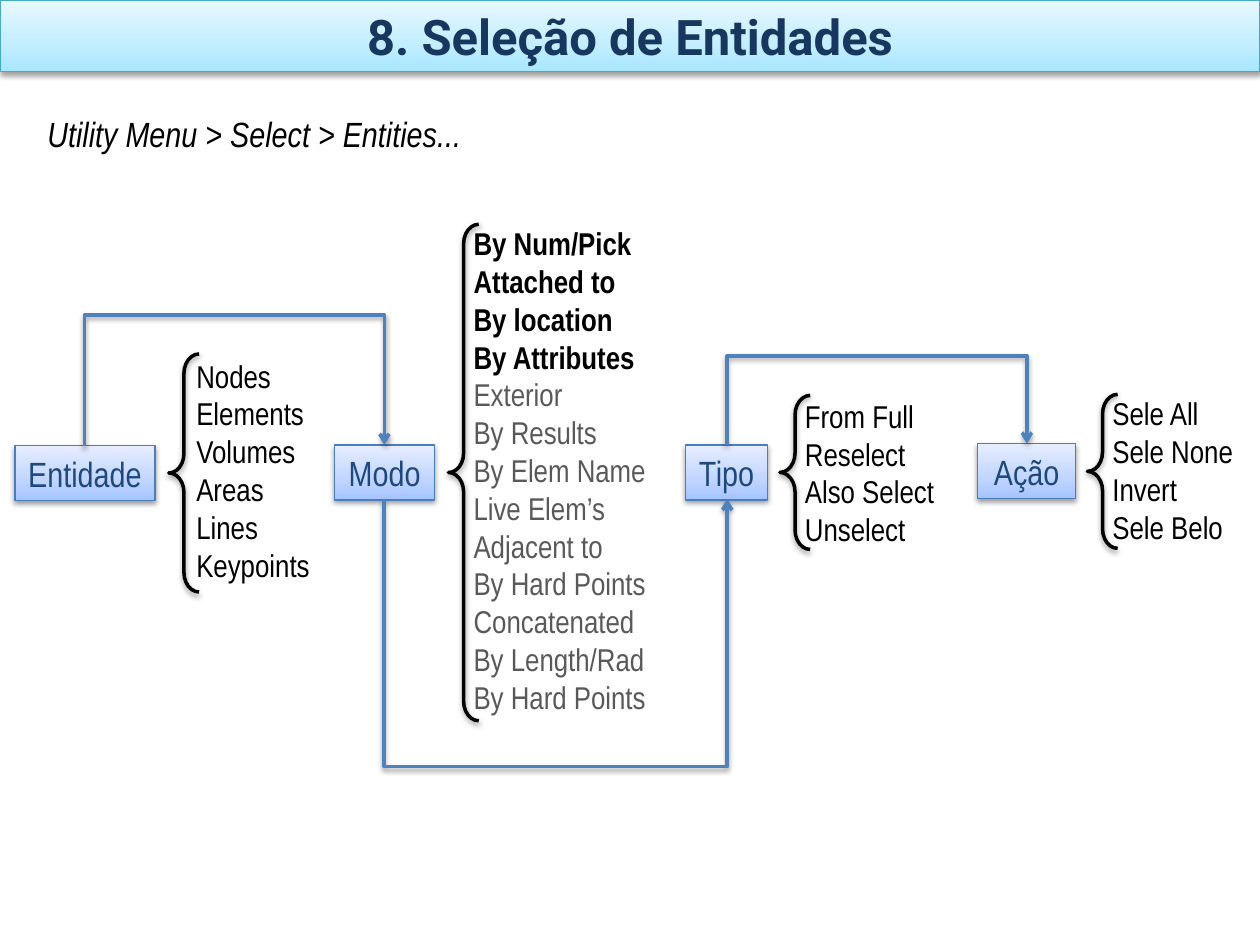
from copy import deepcopy
from pptx import Presentation
from pptx.dml.color import RGBColor as RGB
from pptx.enum.shapes import MSO_CONNECTOR as LINK, MSO_SHAPE as SHAPE
from pptx.enum.text import MSO_ANCHOR as ANCHOR, MSO_AUTO_SIZE as AUTO, PP_ALIGN as ALIGN
from pptx.oxml import parse_xml
from pptx.oxml.ns import nsdecls, qn
from pptx.util import Pt

BLACK = RGB(0x00, 0x00, 0x00)
GREY = RGB(0x59, 0x59, 0x59)
NAVY = RGB(0x17, 0x37, 0x5E)
INK = RGB(0x1F, 0x49, 0x7D)
TEAL = RGB(0x46, 0xAA, 0xC5)
EDGE = RGB(0x4B, 0x7E, 0xBC)
BLUE = RGB(0x4F, 0x81, 0xBD)
SKY = (RGB(0xA7, 0xE6, 0xFF), RGB(0xC1, 0xED, 0xFF), RGB(0xE7, 0xF8, 0xFF))
ICE = (RGB(0xA4, 0xC4, 0xFF), RGB(0xBF, 0xD4, 0xFF), RGB(0xE6, 0xEE, 0xFF))
NARROW = "Arial Narrow"
ROW, PAD, DROP = 21.8, 7.2, 0.72

STEPS = [
    ("Entidade", (8.6, 254.7, 80), (96.5, 202.3, 136), (105.1, 200.2, 90.7),
     [], ["Nodes", "Elements", "Volumes", "Areas", "Lines", "Keypoints"]),
    ("Modo", (191.3, 254.2, 57), (256.3, 128.2, 283.7), (263.5, 124.6, 121.7),
     ["By Num/Pick", "Attached to", "By location", "By Attributes"],
     ["Exterior", "By Results", "By Elem Name", "Live Elem’s", "Adjacent to",
      "By Hard Points", "Concatenated", "By Length/Rad", "By Hard Points"]),
    ("Tipo", (391.7, 254.2, 47), (445.7, 226, 88), (452.9, 223.2, 90.7),
     [], ["From Full", "Reselect", "Also Select", "Unselect"]),
    ("Ação", (558.7, 253.5, 56), (621.4, 225.4, 88), (628.6, 221.8, 88.6),
     [], ["Sele All", "Sele None", "Invert", "Sele Belo"]),
]
LINKS = [(48.2, 219.6, 254.2, 178.9), (219.6, 415.6, 285.2, 440.6),
         (415.6, 586.8, 253.5, 202.5)]


def shade(item):
    """Give an item a soft shadow below it."""
    props = item._element.spPr
    for old in props.findall(qn("a:effectLst")):
        props.remove(old)
    props.append(parse_xml(
        f'<a:effectLst {nsdecls("a")}><a:outerShdw blurRad="40000" dist="20000" '
        'dir="5400000" rotWithShape="0"><a:srgbClr val="000000">'
        '<a:alpha val="38000"/></a:srgbClr></a:outerShdw></a:effectLst>'))


def style(part, size, tint, font=NARROW, bold=False, slant=False):
    """Format every run of a paragraph."""
    for run in part.runs:
        face = run.font
        face.name, face.size, face.bold, face.italic = font, Pt(size), bold, slant
        face.color.rgb = tint


def blend(fill, props, tints):
    """Fill with three tints, the first one at the bottom."""
    fill.gradient()
    fill.gradient_angle = 90
    stops = props.find(qn("a:gradFill")).find(qn("a:gsLst"))
    stops.insert(1, deepcopy(stops[0]))
    for stop, tint, spot in zip(fill.gradient_stops, tints, (0, 0.35, 1)):
        stop.color.rgb = tint
        stop.position = spot


def add_box(slide, text, area, tints, edge, wrap=False, **look):
    """Draw a tinted box with a centred label."""
    box = slide.shapes.add_shape(SHAPE.RECTANGLE, *map(Pt, area))
    blend(box.fill, box._element.spPr, tints)
    box.line.color.rgb = edge
    box.line.width = Pt(0.75)
    shade(box)
    frame = box.text_frame
    frame.text = text
    frame.word_wrap = wrap
    frame.auto_size = AUTO.SHAPE_TO_FIT_TEXT
    frame.vertical_anchor = ANCHOR.MIDDLE
    frame.paragraphs[0].alignment = ALIGN.CENTER
    style(frame.paragraphs[0], **look)


def add_text(slide, lines, area):
    """Add a text box and return its paragraphs."""
    frame = slide.shapes.add_textbox(*map(Pt, area)).text_frame
    frame.text = "\n".join(lines)
    frame.word_wrap = True
    frame.auto_size = AUTO.SHAPE_TO_FIT_TEXT
    return frame.paragraphs


def add_list(slide, spot, main, rest):
    """List the main choices in bold, then the rest."""
    lines = main + rest
    parts = add_text(slide, lines, (*spot, PAD + ROW * len(lines)))
    for i, part in enumerate(parts):
        bold = i < len(main)
        style(part, 18, GREY if main and not bold else BLACK, bold=bold)


def add_brace(slide, left, top, height):
    """Draw an opening brace."""
    brace = slide.shapes.add_shape(SHAPE.LEFT_BRACE, *map(Pt, (left, top, 17.3, height)))
    brace.adjustments[0] = 0.642
    brace.fill.background()
    brace.line.color.rgb = BLACK
    brace.line.width = Pt(2)
    shade(brace)


def add_link(slide, start, end, base, bend):
    """Join two steps with an elbow arrow that turns at the bend."""
    x, y, half = (start + end) / 2, base + DROP / 2, (end - start) / 2
    link = slide.shapes.add_connector(
        LINK.ELBOW, *map(Pt, (x + DROP / 2, y + half, x - DROP / 2, y - half)))
    link.line.color.rgb = BLUE
    link.line.width = Pt(2)
    props = link._element.spPr
    props.find(qn("a:xfrm")).set("rot", "5400000")
    ratio = round((base + DROP - bend) / DROP * 100000)
    props.find(qn("a:prstGeom")).find(qn("a:avLst")).append(
        parse_xml(f'<a:gd {nsdecls("a")} name="adj1" fmla="val {ratio}"/>'))
    props.find(qn("a:ln")).append(parse_xml(f'<a:tailEnd {nsdecls("a")} type="arrow"/>'))
    shade(link)


def main():
    """Build the slide and save it."""
    deck = Presentation()
    deck.slide_width, deck.slide_height = Pt(720), Pt(540)
    slide = deck.slides.add_slide(deck.slide_layouts[6])
    add_box(slide, "8. Seleção de Entidades", (0, 0, 720, 41), SKY, TEAL,
            wrap=True, size=28, tint=NAVY, font="Roboto", bold=True)
    menu = add_text(slide, ["Utility Menu > Select > Entities..."], (20, 60.5, 255, 31.5))
    style(menu[0], 20, BLACK, slant=True)
    for name, box, brace, spot, bold, rest in STEPS:
        add_list(slide, spot, bold, rest)
        add_brace(slide, *brace)
        add_box(slide, name, (*box, 31.5), ICE, EDGE, size=20, tint=INK)
    for link in LINKS:
        add_link(slide, *link)
    deck.save("out.pptx")


if __name__ == "__main__":
    main()
